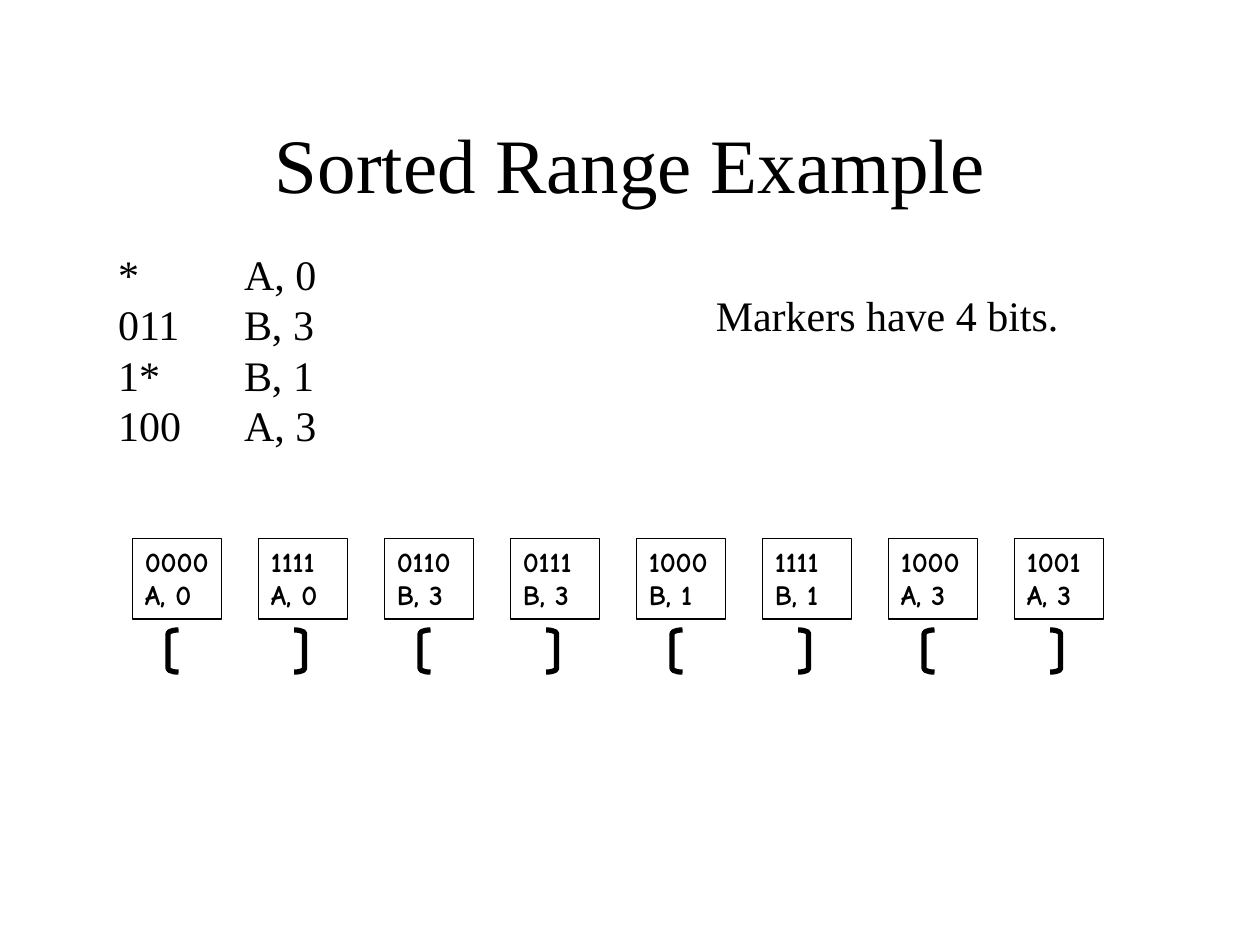
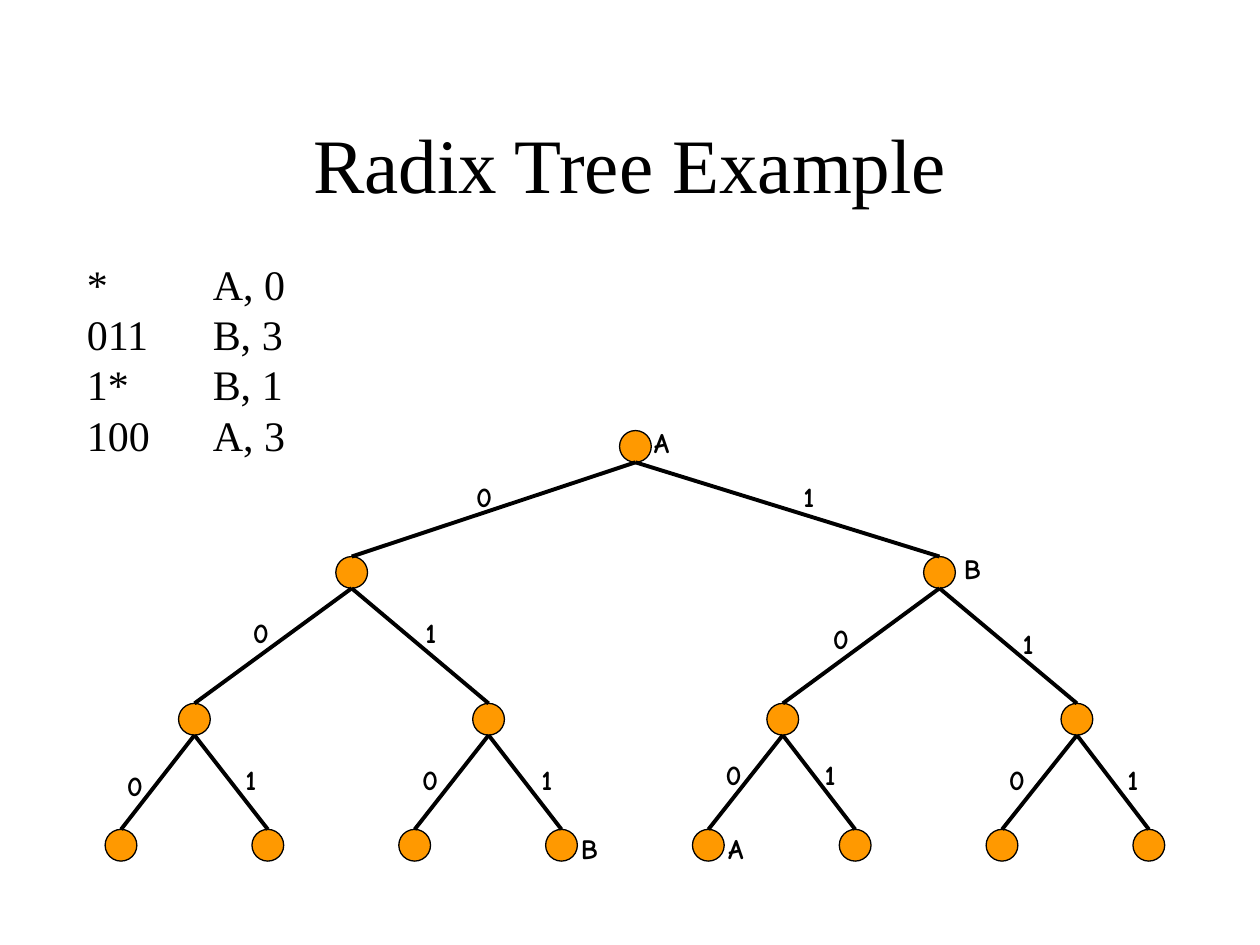
from pptx import Presentation
from pptx.dml.color import RGBColor
from pptx.enum.shapes import MSO_CONNECTOR, MSO_SHAPE
from pptx.enum.text import MSO_ANCHOR, MSO_AUTO_SIZE, PP_ALIGN
from pptx.oxml.ns import qn
from pptx.util import Cm, Pt
from lxml.etree import SubElement

BLACK = RGBColor(0x00, 0x00, 0x00)
ORANGE = RGBColor(0xFF, 0x99, 0x00)
SERIF, COMIC = "Times New Roman", "Comic Neue"

# Content shared by both slides
ROUTES = ["*\tA, 0", "011\tB, 3", "1*\tB, 1", "100\tA, 3"]
ROUTE_TAB = Cm(2.54)

# Sorted range: marker bits and route, opening and closing in turn
RANGE_TITLE = "Sorted Range Example"
RANGE_NOTE = "Markers have 4 bits."
MARKERS = [
    ("0000", "A, 0"), ("1111", "A, 0"), ("0110", "B, 3"), ("0111", "B, 3"),
    ("1000", "B, 1"), ("1111", "B, 1"), ("1000", "A, 3"), ("1001", "A, 3"),
]
MARKER_LEFT, MARKER_STEP = 2.67, 2.54

# Radix tree levels: first centre, step between centres, centre height (cm)
TREE_TITLE = "Radix Tree Example"
LEVELS = [(12.81, 0, 9.0), (7.09, 11.85, 11.54), (3.92, 5.93, 14.5), (2.44, 2.96, 17.04)]
NODE_SIZE = 0.64
# Left and top of the bit label on the edge into each node, level by level
BIT_PLACES = [
    [(9.35, 9.53), (15.9, 9.53)],
    [(4.85, 12.27), (8.28, 12.27), (16.54, 12.4), (20.32, 12.5)],
    [(2.31, 15.37), (4.65, 15.24), (8.26, 15.24), (10.62, 15.24),
     (14.38, 15.14), (16.33, 15.14), (20.09, 15.24), (22.43, 15.24)],
]
NODE_NAMES = [("A", 12.93, 8.46), ("B", 19.18, 11.0), ("B", 11.46, 16.64), ("A", 14.43, 16.64)]


def write(shape, lines, font, size, bold=False, align=PP_ALIGN.LEFT, anchor=MSO_ANCHOR.TOP,
          wrap=False):
    frame = shape.text_frame
    frame.word_wrap = wrap
    frame.auto_size = MSO_AUTO_SIZE.NONE if wrap else MSO_AUTO_SIZE.SHAPE_TO_FIT_TEXT
    frame.vertical_anchor = anchor
    for index, line in enumerate(lines):
        paragraph = frame.add_paragraph() if index else frame.paragraphs[0]
        paragraph.alignment = align
        if "\t" in line:
            add_tab_stop(paragraph, ROUTE_TAB)
        run = paragraph.add_run()
        run.text = line
        run.font.name, run.font.size, run.font.bold = font, Pt(size), bold
        run.font.color.rgb = BLACK


def add_tab_stop(paragraph, position):
    tabs = SubElement(paragraph._p.get_or_add_pPr(), qn("a:tabLst"))
    SubElement(tabs, qn("a:tab"), pos=str(int(position)), algn="l")


def add_text(slide, place, lines, font, size, **style):
    write(slide.shapes.add_textbox(*map(Cm, place)), lines, font, size, **style)


def add_outlined(shapes, kind, place, weight, fill=None):
    shape = shapes.add_shape(kind, *map(Cm, place))
    shape.shadow.inherit = False
    shape.line.color.rgb, shape.line.width = BLACK, Pt(weight)
    if fill is None:
        shape.fill.background()
    else:
        shape.fill.solid()
        shape.fill.fore_color.rgb = fill
    return shape


def add_slide(presentation, title, routes_left, routes_top):
    slide = presentation.slides.add_slide(presentation.slide_layouts[6])
    add_text(slide, (1.91, 1.69, 21.59, 3.18), [title], SERIF, 44,
             align=PP_ALIGN.CENTER, anchor=MSO_ANCHOR.MIDDLE, wrap=True)
    add_text(slide, (routes_left, routes_top, 4.5, 4.32), ROUTES, SERIF, 24)
    return slide


def add_marker(slide, index, lines):
    left = MARKER_LEFT + index * MARKER_STEP
    closing = index % 2
    group = slide.shapes.add_group_shape()
    kind = MSO_SHAPE.RIGHT_BRACKET if closing else MSO_SHAPE.LEFT_BRACKET
    bracket = add_outlined(group.shapes, kind, (left + 0.72, 12.7, 0.21, 0.85), 3)
    bracket.adjustments[0] = 0.33
    box = add_outlined(group.shapes, MSO_SHAPE.RECTANGLE, (left, 10.85, 1.8, 1.63), 0.75)
    box.text_frame.margin_right = Cm(0)  # room for four bits on one line
    write(box, lines, COMIC, 16, bold=True)


def add_edge(slide, parent, child):
    edge = slide.shapes.add_connector(
        MSO_CONNECTOR.STRAIGHT, parent.left + parent.width // 2, parent.top + parent.height,
        child.left + child.width // 2, child.top)
    edge.end_connect(child, 0)
    edge.line.color.rgb, edge.line.width = BLACK, Pt(2.25)
    SubElement(edge._element.spPr, qn("a:effectLst"))


def build_range_slide(presentation):
    slide = add_slide(presentation, RANGE_TITLE, 2.13, 4.88)
    add_text(slide, (14.18, 5.72, 7.42, 1.27), [RANGE_NOTE], SERIF, 24)
    for index, lines in enumerate(MARKERS):
        add_marker(slide, index, lines)


def build_tree_slide(presentation):
    slide = add_slide(presentation, TREE_TITLE, 1.5, 5.08)
    for name, left, top in NODE_NAMES:
        add_text(slide, (left, top, 0.89, 0.94), [name], COMIC, 16, bold=True)

    # Nodes, each level twice as wide as the one above
    tree = [
        [add_outlined(slide.shapes, MSO_SHAPE.OVAL,
                      (first + i * step - NODE_SIZE / 2, middle - NODE_SIZE / 2,
                       NODE_SIZE, NODE_SIZE), 0.75, ORANGE)
         for i in range(2 ** depth)]
        for depth, (first, step, middle) in enumerate(LEVELS)
    ]

    # Edges and their bits: 0 to the left child, 1 to the right
    for parents, children, places in zip(tree, tree[1:], BIT_PLACES):
        for i, (child, place) in enumerate(zip(children, places)):
            add_edge(slide, parents[i // 2], child)
            add_text(slide, (*place, 0.81, 0.94), [str(i % 2)], COMIC, 16, bold=True,
                     align=PP_ALIGN.CENTER, anchor=MSO_ANCHOR.MIDDLE)


def main():
    presentation = Presentation()
    presentation.slide_width, presentation.slide_height = Cm(25.4), Cm(19.05)
    build_range_slide(presentation)
    build_tree_slide(presentation)
    presentation.save("out.pptx")


if __name__ == "__main__":
    main()
